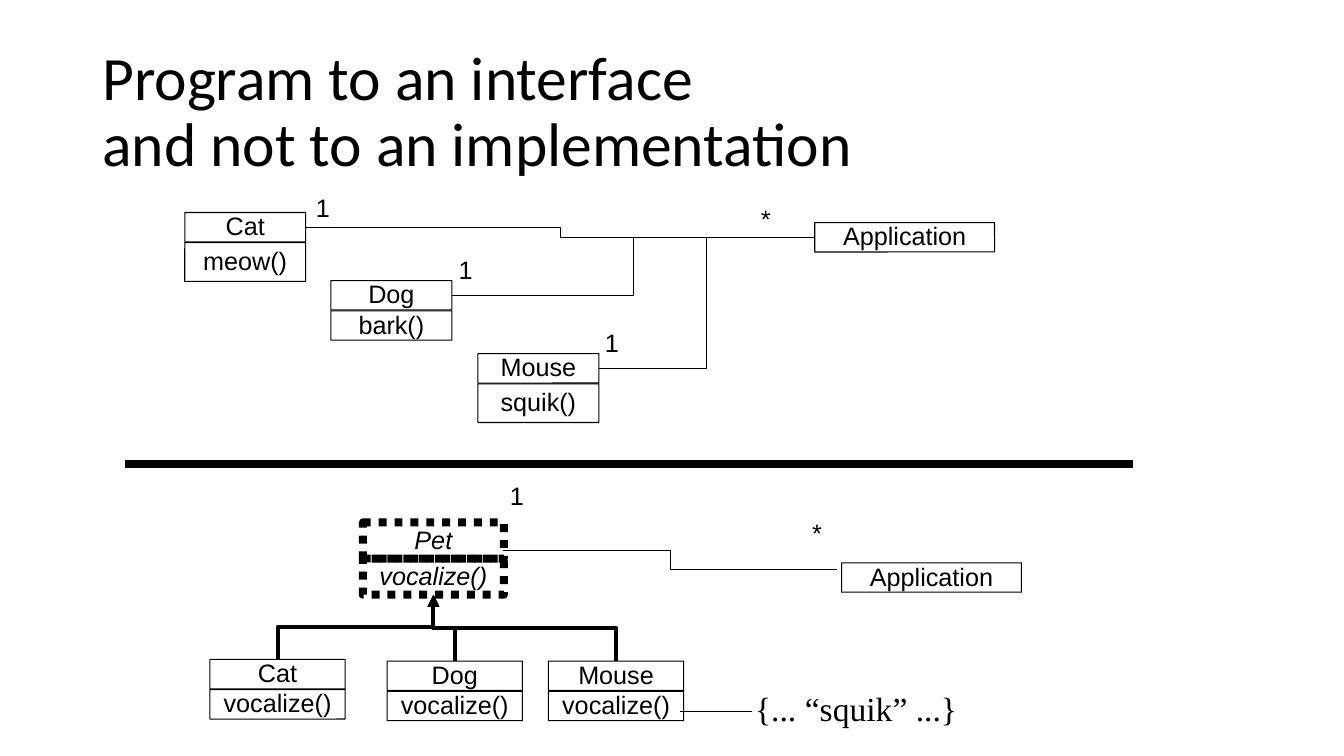
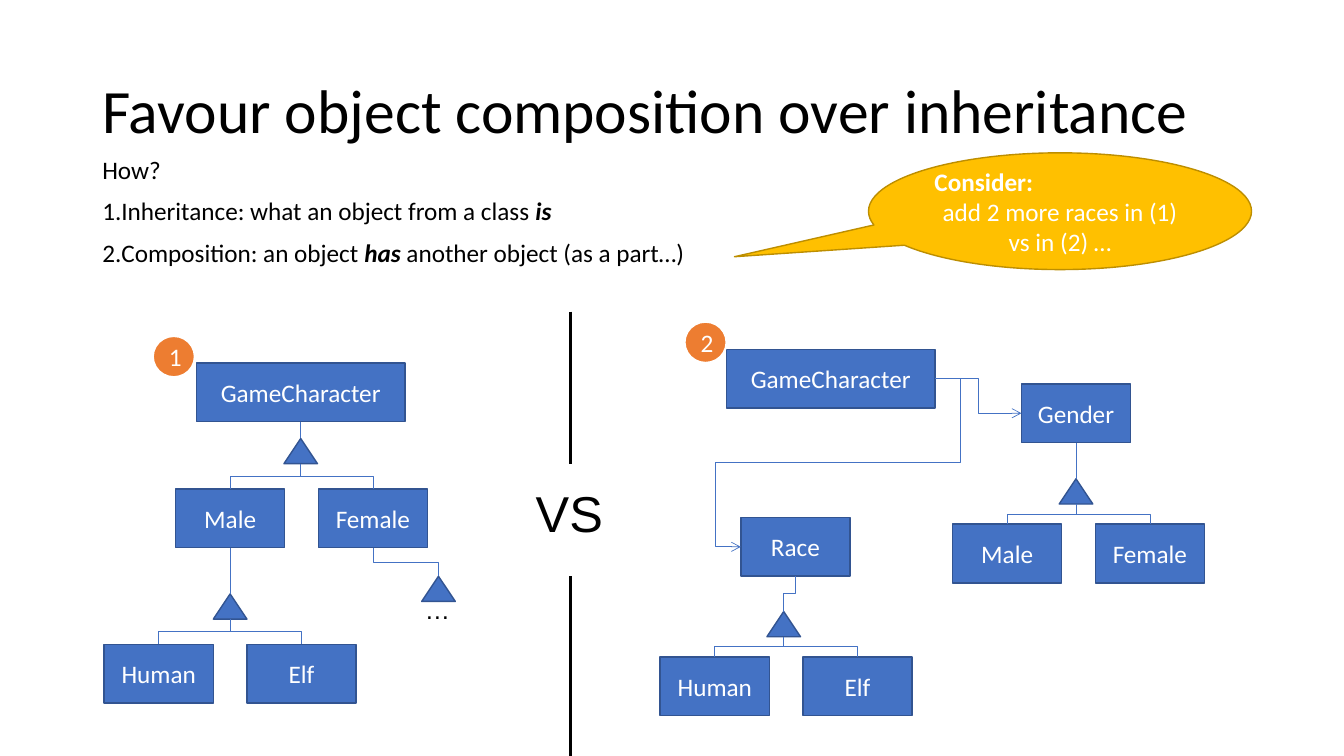
"""Build two slides on object-oriented design principles."""
from lxml.etree import SubElement
from pptx import Presentation
from pptx.dml.color import RGBColor
from pptx.enum.dml import MSO_LINE_DASH_STYLE as Dash
from pptx.enum.shapes import MSO_CONNECTOR as Link, MSO_SHAPE as Preset
from pptx.enum.text import MSO_ANCHOR as Anchor, MSO_AUTO_SIZE as AutoSize, PP_ALIGN as Align
from pptx.oxml.ns import qn
from pptx.util import Inches, Pt

COLUMNS, ROWS = 160, 90
CELL = Inches(7.5) / ROWS
COLORS = {
    "black": "000000", "white": "FFFFFF", "blue": "4472C4", "navy": "325491",
    "orange": "ED7D31", "gold": "FFC000", "bronze": "BD8E00",
}
TOP, LEFT, BOTTOM, RIGHT = range(4)
NODE_WIDTH, NODE_HEIGHT, NODE_STEP = 13, 7, 17
NAME_HEIGHT = 3.5


def cells(*values):
    """Turn grid cells into slide units."""
    return [round(value * CELL) for value in values]


def color(name):
    """Look up a palette colour."""
    return RGBColor.from_string(COLORS[name])


def side(shape, index):
    """Return the middle of a shape's side in grid cells."""
    across, down = {TOP: (0.5, 0), LEFT: (0, 0.5), BOTTOM: (0.5, 1), RIGHT: (1, 0.5)}[index]
    return (shape.left + shape.width * across) / CELL, (shape.top + shape.height * down) / CELL


class Deck:
    """Hold the shared style and the slide being built."""

    def __init__(self):
        """Start a widescreen presentation."""
        self.presentation = Presentation()
        self.presentation.slide_width, self.presentation.slide_height = cells(COLUMNS, ROWS)
        self.slide = None

    def new_slide(self, *title_lines):
        """Add a blank slide with its title."""
        self.slide = self.presentation.slides.add_slide(self.presentation.slide_layouts[6])
        runs = [(line, "") for line in title_lines]
        self.text_box((11, 4.8, 138, 17.4), [runs], break_runs=True, font="Calibri", size=44,
                      spacing=0.9, anchor=Anchor.MIDDLE)

    def add_text(self, shape, paragraphs, font="Arial", size=18, ink="black", aligns=(Align.LEFT,),
                 spacing=None, before=0, inset=None, anchor=Anchor.TOP, numbered=(),
                 break_runs=False, wrap=True):
        """Fill a shape with paragraphs of (text, style) runs."""
        frame = shape.text_frame
        frame.word_wrap = wrap
        frame.auto_size = AutoSize.NONE if wrap else AutoSize.SHAPE_TO_FIT_TEXT
        frame.vertical_anchor = anchor
        if inset is not None:
            frame.margin_left = frame.margin_right = Inches(inset)
            frame.margin_top = frame.margin_bottom = Inches(inset)
        for index, runs in enumerate(paragraphs):
            paragraph = frame.add_paragraph() if index else frame.paragraphs[0]
            paragraph.alignment = aligns[index % len(aligns)]
            if spacing:
                paragraph.line_spacing = spacing
            if index and before:
                paragraph.space_before = Pt(before)
            if index in numbered:
                properties = paragraph._p.get_or_add_pPr()
                properties.set("marL", "0")
                properties.set("indent", "0")
                SubElement(properties, qn("a:buFont"), typeface="+mj-lt")
                SubElement(properties, qn("a:buAutoNum"), type="arabicPeriod")
            for position, (text, style) in enumerate(runs):
                if break_runs and position:
                    paragraph.add_line_break()
                run = paragraph.add_run()
                run.text = text
                run.font.name, run.font.size = font, Pt(size)
                run.font.color.rgb = color(ink)
                run.font.bold, run.font.italic = "b" in style, "i" in style

    def text_box(self, area, paragraphs, **style):
        """Add a plain text box."""
        self.add_text(self.slide.shapes.add_textbox(*cells(*area)), paragraphs, **style)

    def label(self, left, top, width, text, height=NAME_HEIGHT, **style):
        """Add a single-line label that does not wrap."""
        options = {"spacing": 0.95, "inset": 0, "wrap": False, **style}
        self.text_box((left, top, width, height), [[(text, "")]], **options)

    def shape(self, preset, area, fill=None, line="black", weight=1.0):
        """Add a preset shape without a shadow."""
        shape = self.slide.shapes.add_shape(preset, *cells(*area))
        shape.shadow.inherit = False
        if fill:
            shape.fill.solid()
            shape.fill.fore_color.rgb = color(fill)
        else:
            shape.fill.background()
        shape.line.color.rgb = color(line)
        shape.line.width = Pt(weight)
        return shape

    def compartment(self, area, text, abstract=False):
        """Add one compartment of a class diagram box."""
        shape = self.shape(Preset.ROUNDED_RECTANGLE, area, weight=5.67 if abstract else 0.75)
        shape.adjustments[0] = 0.003
        if abstract:
            shape.line.dash_style = Dash.ROUND_DOT
        self.add_text(shape, [[(text, "i" if abstract else "")]], aligns=(Align.CENTER,),
                      spacing=0.95, inset=0.04 if abstract else 0, anchor=Anchor.MIDDLE)
        return shape

    def class_box(self, left, top, width, name, operation, height=NAME_HEIGHT):
        """Add a class with its name above its operation."""
        self.compartment((left, top + 3.6, width, height), operation)
        return self.compartment((left, top, width, NAME_HEIGHT), name)

    def node(self, left, top, text, width=NODE_WIDTH):
        """Add a filled class rectangle."""
        shape = self.shape(Preset.RECTANGLE, (left, top, width, NODE_HEIGHT), "blue", "navy")
        self.add_text(shape, [[(text, "")]], font="Calibri", ink="white", aligns=(Align.CENTER,),
                      anchor=Anchor.MIDDLE)
        return shape

    def badge(self, left, top, text):
        """Add a numbered circle."""
        shape = self.shape(Preset.OVAL, (left, top, 5, 4.9), "orange", "white", 1.5)
        self.add_text(shape, [[(text, "")]], font="Calibri", ink="white", aligns=(Align.CENTER,),
                      anchor=Anchor.MIDDLE)

    def connector(self, kind, start, end, ink="black", weight=0.75, arrow=None):
        """Add a connector, with an optional arrowhead at its end."""
        connector = self.slide.shapes.add_connector(kind, *cells(*start, *end))
        connector.line.color.rgb = color(ink)
        connector.line.width = Pt(weight)
        if arrow:
            SubElement(connector.get_or_add_ln(), qn("a:tailEnd"), type=arrow)
        SubElement(connector._element.spPr, qn("a:effectLst"))
        return connector

    def line(self, start, end, **style):
        """Add a straight line."""
        return self.connector(Link.STRAIGHT, start, end, **style)

    def elbow(self, start, end, **style):
        """Add an elbow that leaves sideways."""
        return self.connector(Link.ELBOW, start, end, **style)

    def upright_elbow(self, start, end, **style):
        """Add an elbow that leaves up or down, as a turned sideways one."""
        (x1, y1), (x2, y2) = start, end
        middle_x, middle_y = (x1 + x2) / 2, (y1 + y2) / 2
        reach = abs(y2 - y1) / 2
        rise = (x1 - x2) / 2 if y2 > y1 else (x2 - x1) / 2
        connector = self.elbow((middle_x - reach, middle_y - rise),
                               (middle_x + reach, middle_y + rise), **style)
        turn = 90 if y2 > y1 else 270
        connector._element.spPr.find(qn("a:xfrm")).set("rot", str(turn * 60000))

    def looped_elbow(self, start, end, adjustments, **style):
        """Add a five-part elbow that passes both of its ends."""
        connector = self.elbow(start, end, **style)
        geometry = connector._element.spPr.find(qn("a:prstGeom"))
        geometry.set("prst", "bentConnector5")
        guides = geometry.find(qn("a:avLst"))
        if guides is None:
            guides = SubElement(geometry, qn("a:avLst"))
        for number, share in enumerate(adjustments, 1):
            SubElement(guides, qn("a:gd"), name=f"adj{number}", fmla=f"val {round(share * 100000)}")

    def inheritance(self, parent, apex, top):
        """Hang an inheritance triangle below a parent node."""
        triangle = self.shape(Preset.ISOSCELES_TRIANGLE, (apex - 2, top, 4, 3), "blue", "navy")
        start, end = side(parent, BOTTOM), (apex, top)
        style = {"ink": "blue", "weight": 0.5}
        if abs(start[0] - apex) < 0.1:
            connector = self.line(start, end, **style)
            connector.begin_connect(parent, BOTTOM)
            connector.end_connect(triangle, TOP)
        else:
            self.upright_elbow(start, end, **style)
        return triangle

    def subtree(self, parent, apex, top, first_left, children_top, names):
        """Add an inheritance triangle and a row of child nodes."""
        triangle = self.inheritance(parent, apex, top)
        children = [self.node(first_left + NODE_STEP * index, children_top, name)
                    for index, name in enumerate(names)]
        for child in children:
            self.upright_elbow(side(child, TOP), side(triangle, BOTTOM), ink="blue", weight=0.5)
        return children


def interface_slide(deck):
    """Compare separate classes with a shared interface."""
    deck.new_slide("Program to an interface", "and not to an implementation")
    application = deck.compartment((97, 26.5, 21.4, NAME_HEIGHT), "Application")
    for left, top, name, operation, height, label_left, label_top in (
            (22, 25.3, "Cat", "meow()", 4.6, 37.6, 23.2),
            (39.4, 33.4, "Dog", "bark()", 3.5, 54.6, 30.5),
            (56.9, 42.1, "Mouse", "squik()", 4.6, 72, 39.2)):
        animal = deck.class_box(left, top, 14.4, name, operation, height)
        deck.elbow(side(application, LEFT), side(animal, RIGHT))
        deck.label(label_left, label_top, 1.7, "1")
    deck.label(90.6, 24.5, 1.2, "*")
    deck.line((14.9, 55.2), (134.9, 55.2), weight=5.67)

    pet = deck.compartment((43.2, 62.2, 16.8, 4.3), "Pet", abstract=True)
    for left, top, name in ((25, 78.5, "Cat"), (46.1, 78.7, "Dog"), (65.3, 78.7, "Mouse")):
        animal = deck.class_box(left, top, 16.1, name, "vocalize()")
        deck.upright_elbow(side(animal, TOP), (side(pet, BOTTOM)[0], 70.8), weight=2.83,
                           arrow="triangle")
    deck.compartment((43.2, 66.5, 16.8, 4.3), "vocalize()", abstract=True)
    deck.compartment((100.2, 67, 21.4, NAME_HEIGHT), "Application")
    deck.elbow((99.7, 67.8), (59.9, 65.5))
    deck.label(60.7, 57.5, 1.7, "1")
    deck.label(96.7, 61.8, 1.2, "*")
    deck.line((81, 84.7), (89.5, 84.7))
    deck.label(89.9, 82.3, 24.2, "{... “squik” ...}", 4.7, font="Times New Roman", size=24)


def composition_slide(deck):
    """Compare an inheritance tree with composed objects."""
    deck.new_slide("Favour object composition over inheritance")
    deck.text_box((11, 18.2, 138, 26), [
        [("How?", "")],
        [("Inheritance: what an object from a class ", ""), ("is", "bi")],
        [("Composition: an object ", ""), ("has ", "bi"), ("another object (as a part…)", "")],
    ], font="Calibri", spacing=0.9, before=10, numbered=(1, 2))

    character = deck.node(23.4, 43.2, "GameCharacter", 24.8)
    male, female = deck.subtree(character, 35.8, 52.2, 20.9, 58.2, ("Male", "Female"))
    deck.subtree(male, 27.4, 70.7, 12.4, 76.7, ("Human", "Elf"))
    deck.inheritance(female, 52.2, 68.6)
    deck.label(49.4, 70.2, 5.4, "…", 4.8, spacing=None, inset=None)

    character = deck.node(86.5, 41.6, "GameCharacter", 24.8)
    race = deck.node(88.2, 61.6, "Race")
    gender = deck.node(121.6, 45.7, "Gender")
    deck.subtree(race, 93.3, 72.8, 78.6, 78.2, ("Human", "Elf"))
    deck.subtree(gender, 128.1, 57, 113.4, 62.4, ("Male", "Female"))
    part_style = {"ink": "blue", "weight": 0.5, "arrow": "arrow"}
    deck.elbow(side(character, RIGHT), side(gender, LEFT), **part_style)
    deck.looped_elbow(side(character, RIGHT), side(race, LEFT), (-0.13, 0.5, 1.13), **part_style)

    for top, bottom in ((37.1, 55.2), (68.6, ROWS)):
        deck.line((67.9, top), (67.9, bottom), weight=2.25)
    deck.label(62.6, 56.8, 10.6, "VS", 8.5, size=36, spacing=None, inset=None)
    deck.badge(18.2, 40, "1")
    deck.badge(81.5, 38.3, "2")

    callout = deck.shape(Preset.OVAL_CALLOUT, (103.4, 18.2, 45.6, 13.9), "gold", "bronze")
    callout.adjustments[0], callout.adjustments[1] = -0.85, 0.39
    deck.add_text(callout, [[("Consider:", "b")], [("add 2 more races in (1) vs in (2) …", "")]],
                  font="Calibri", ink="white", aligns=(Align.LEFT, Align.CENTER),
                  anchor=Anchor.MIDDLE)


def main():
    """Build and save the presentation."""
    deck = Deck()
    interface_slide(deck)
    composition_slide(deck)
    deck.presentation.save("out.pptx")


if __name__ == "__main__":
    main()
